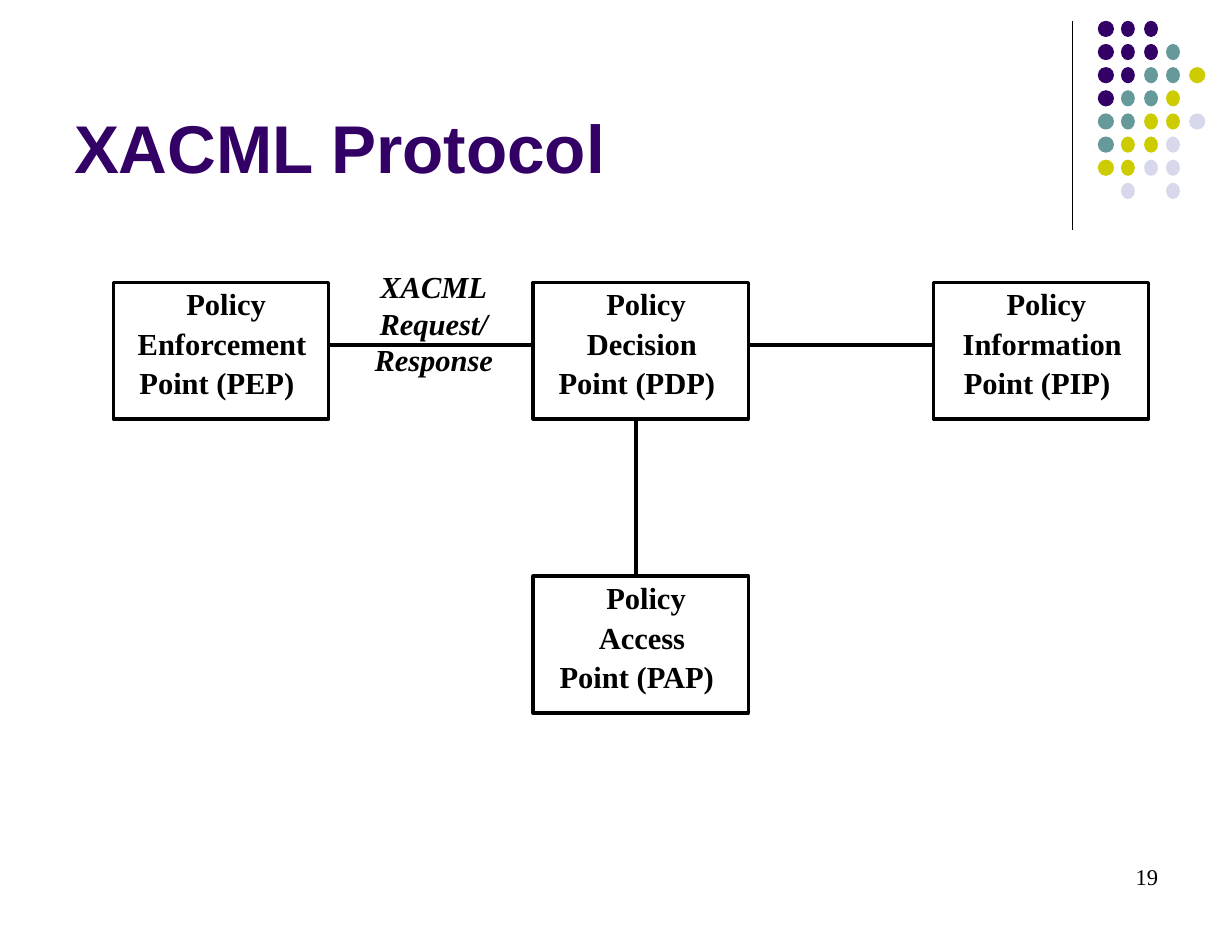
from pptx import Presentation
from pptx import util as u
from pptx.dml.color import RGBColor
from pptx.enum import shapes, text
from pptx.oxml.ns import qn
from lxml import etree

WIDE, HIGH = 10.65, 8.14
BLACK = RGBColor(0, 0, 0)
PURPLE = RGBColor(0x33, 0x00, 0x66)
TEAL = RGBColor(0x66, 0x99, 0x99)
LIME = RGBColor(0xCC, 0xCC, 0x00)
PALE = RGBColor(0xD8, 0xD8, 0xEC)
SANS, SERIF = "Arial", "Times New Roman"
LEFT, MID, RIGHT = text.PP_ALIGN.LEFT, text.PP_ALIGN.CENTER, text.PP_ALIGN.RIGHT

TITLE = "XACML Protocol"
PAGE = "19"
LABEL = ["XACML", "Request/", "Response"]
COLS = [0.98, 4.61, 8.07]
ROWS = [2.44, 4.98]
BOX_W, BOX_H = 1.86, 1.18
BOXES = [  # column, row, lines
    (0, 0, ["Policy", "Enforcement", "Point (PEP)"]),
    (1, 0, ["Policy", "Decision", "Point (PDP)"]),
    (1, 1, ["Policy", "Access", "Point (PAP)"]),
    (2, 0, ["Policy", "Information", "Point (PIP)"]),
]
INDENTS = [0, 0.07, 0.16]  # right indent of each line in a box
LINK_Y, LINK_X = 2.98, 5.5

DOTS = ["PPP", "PPPT", "PPTTL", "PTTL", "TTLLG", "TLLG", "LLGG", " G G"]
HUES = {"P": PURPLE, "T": TEAL, "L": LIME, "G": PALE}
DOT_COLS = [(9.49, 0.14), (9.69, 0.12), (9.89, 0.12), (10.08, 0.12), (10.28, 0.14)]
DOT_TOP, DOT_STEP, DOT_H = 0.18, 0.2, 0.14

deck = Presentation()
deck.slide_width, deck.slide_height = u.Inches(WIDE), u.Inches(HIGH)
slide = deck.slides.add_slide(deck.slide_layouts[6])


def inches(*nums):
    return [u.Inches(n) for n in nums]


def write(frame, lines, size, color=BLACK, font=SERIF, align=MID, bold=True,
          italic=False, pitch=None, indents=(), pads=(0.11, 0.05, 0.11, 0.05)):
    """Fill a text frame; pitch is the line height in points."""
    (frame.margin_left, frame.margin_top,
     frame.margin_right, frame.margin_bottom) = inches(*pads)
    for i, line in enumerate(lines):
        para = frame.add_paragraph() if i else frame.paragraphs[0]
        para.alignment = align
        if pitch:
            para.line_spacing = u.Pt(pitch)
        if indents and indents[i]:
            para._p.get_or_add_pPr().set("marR", str(u.Inches(indents[i])))
        run = para.add_run()
        run.text = line
        face = run.font
        face.name, face.size = font, u.Pt(size)
        face.bold, face.italic = bold, italic
        face.color.rgb = color


def add_text(area, lines, size, anchor=text.MSO_ANCHOR.TOP, **style):
    frame = slide.shapes.add_textbox(*inches(*area)).text_frame
    frame.word_wrap = True
    frame.vertical_anchor = anchor
    write(frame, lines, size, **style)


def add_line(x1, y1, x2, y2, weight=2.25):
    line = slide.shapes.add_connector(
        shapes.MSO_CONNECTOR.STRAIGHT, *inches(x1, y1, x2, y2))
    line.line.color.rgb = BLACK
    line.line.width = u.Pt(weight)
    etree.SubElement(line._element.spPr, qn("a:effectLst"))


def add_dot(col, row, hue):
    x, w = DOT_COLS[col]
    dot = slide.shapes.add_shape(
        shapes.MSO_SHAPE.OVAL, *inches(x, DOT_TOP + row * DOT_STEP, w, DOT_H))
    dot.shadow.inherit = False
    dot.fill.solid()
    dot.fill.fore_color.rgb = hue
    dot.line.fill.background()


def add_box(col, row, lines):
    box = slide.shapes.add_shape(
        shapes.MSO_SHAPE.RECTANGLE, *inches(COLS[col], ROWS[row], BOX_W, BOX_H))
    box.shadow.inherit = False
    box.fill.background()
    box.line.color.rgb = BLACK
    box.line.width = u.Pt(2.25)
    box.text_frame.word_wrap = True
    box.text_frame.vertical_anchor = text.MSO_ANCHOR.TOP
    write(box.text_frame, lines, 19, pitch=24.6, indents=INDENTS, pads=(0.09, 0, 0, 0))


add_line(9.27, 0.18, 9.27, 1.99, 0.75)
for row, marks in enumerate(DOTS):
    for col, mark in enumerate(marks):
        if mark in HUES:
            add_dot(col, row, HUES[mark])

add_text((7.63, 7.41, 2.48, 0.57), [PAGE], 14, align=RIGHT, bold=False,
         pads=(0.1, 0.05, 0.1, 0.05))
add_text((0.53, 0.15, 8.78, 1.54), [TITLE], 42, anchor=text.MSO_ANCHOR.BOTTOM,
         color=PURPLE, font=SANS, align=LEFT, pads=(0.11, 0.05, 0.11, 0.07))

for col, row, lines in BOXES:
    add_box(col, row, lines)
for start, end in zip(COLS, COLS[1:]):
    add_line(start + BOX_W, LINK_Y, end, LINK_Y)
add_line(LINK_X, ROWS[0] + BOX_H, LINK_X, ROWS[1])
add_text((3.13, 2.26, 1.24, 1.06), LABEL, 19, italic=True, pitch=22.7,
         pads=(0, 0.06, 0, 0.05))

deck.save("out.pptx")
